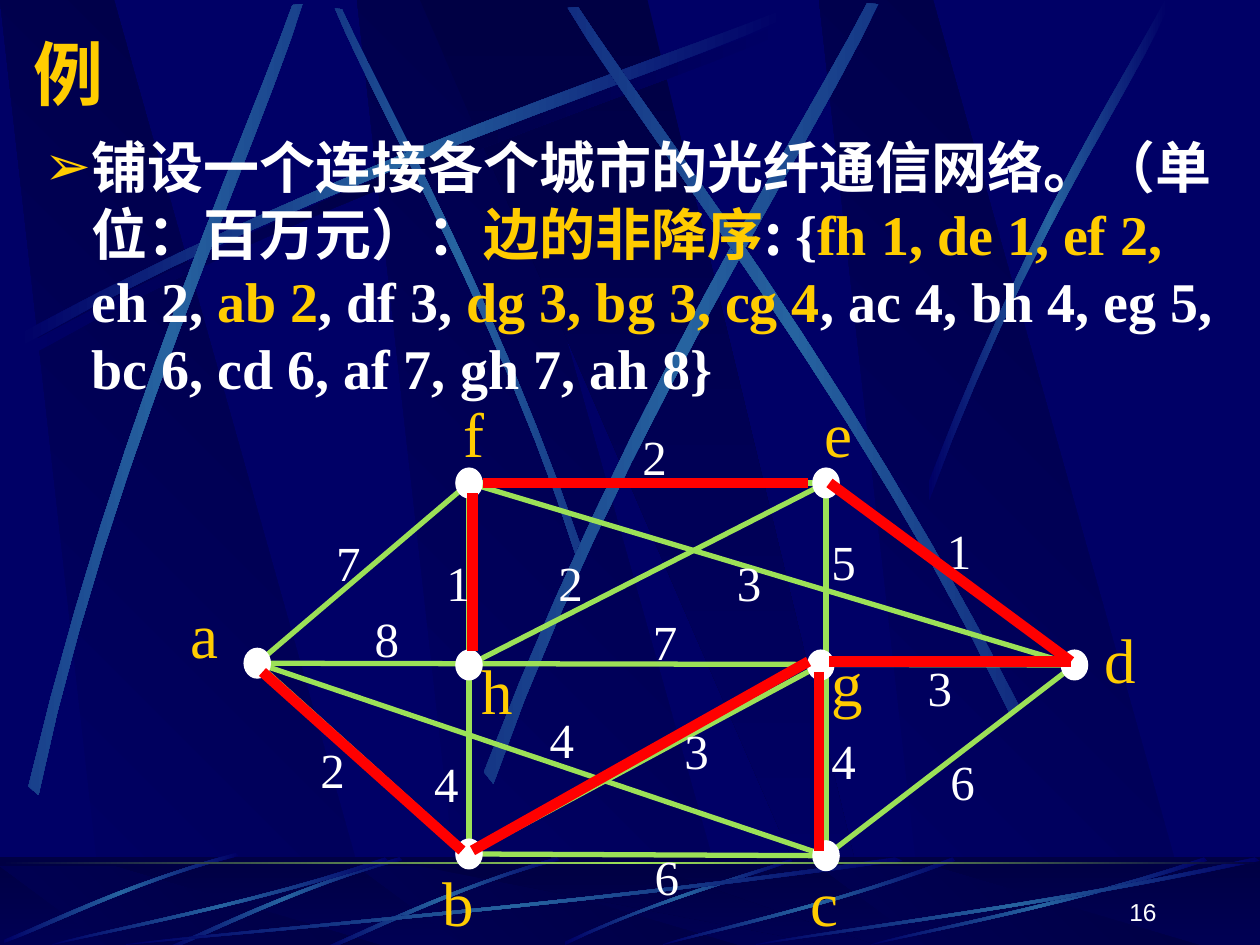
from dataclasses import dataclass

from lxml.etree import SubElement
from pptx import Presentation
from pptx.dml.color import RGBColor
from pptx.enum.shapes import MSO_CONNECTOR as Connector, MSO_SHAPE as Preset
from pptx.enum.text import MSO_ANCHOR as Anchor, MSO_AUTO_SIZE as AutoSize, PP_ALIGN as Align
from pptx.oxml import parse_xml
from pptx.oxml.ns import nsdecls, qn
from pptx.util import Pt


@dataclass(frozen=True)
class Theme:
    navy: str = "000066"
    dark: str = "000044"
    beam: str = "2663A0"
    green: str = "9CE157"
    red: str = "FF0000"
    gold: str = "FFCC00"
    white: str = "FFFFFF"
    serif: str = "Times New Roman"
    cjk: str = "Noto Sans CJK SC"
    sans: str = "Arial"
    title: int = 40
    body: int = 32
    node: int = 36
    weight: int = 28
    number: int = 14


T = Theme()
GLOW = (T.navy, T.beam, T.navy)
SHADE = (T.navy, T.dark, T.navy)

# Outlines in a unit box; a beam is two cubic curves, out and back
SLAB = [(0.28, 1), (1, 1), (0.3, 0), (0, 0)]
WEDGE = [(0, 0), (0.9, 1), (1, 1), (0.5, 0)]
SWEEP = [[(0, 0.96), (0.43, 0.43), (0.83, 0.15), (0.99, 0)],
         [(1, 0.02), (0.84, 0.19), (0.38, 0.5), (0, 1)]]
TRAIL = [[(1, 0.04), (0.57, 0.57), (0.17, 0.85), (0, 1)],
         [(0, 0.99), (0.16, 0.81), (0.61, 0.51), (0.99, 0)]]

# Beams: left, top, width, height, rotation, mirrored
SKY_BEAMS = [(102, 97, 318, 126, 45, True), (10, 7, 438, 192, 0, False),
             (-123, 131, 438, 192, 311.7, False), (166, 115, 449, 217, 321.6, False),
             (233, 109, 438, 192, 34.7, True), (531, 0, 136, 286, 0, False)]
FLOOR_BEAMS = [(323, 491, 130, 49, 0, False), (186, 487, 132, 60, 315, True),
               (96, 487, 132, 60, 315, True), (4, 483, 130, 61, 315, True)]
FLOOR_TRAILS = [(72, 444), (30, 192), (379, 167), (498, 192), (432, 288)]

# Graph, measured from its own corner: node centre and label corner
NODES = {"f": ((168, 56), (158, 2)), "b": ((168, 268), (146, 270)),
         "e": ((372, 56), (364, 2)), "c": ((372, 269), (356, 270)),
         "a": ((47, 159), (2, 117)), "d": ((514, 160), (524, 131)),
         "g": ((369, 160), (368, 144)), "h": ((168, 160), (168, 149))}
EDGES = "bg he ca df bf ce ab bc cd ad af fe ed".split()
WEIGHTS = [("7", 85, 81), ("6", 267, 260), ("2", 76, 199), ("8", 107, 124),
           ("1", 148, 92), ("4", 141, 207), ("4", 207, 182), ("3", 284, 188),
           ("4", 368, 194), ("7", 266, 126), ("2", 212, 92), ("3", 314, 92),
           ("5", 368, 80), ("6", 436, 206), ("3", 423, 152), ("2", 260, 20),
           ("1", 434, 74)]
TREE = [((170, 62), (170, 152)), ((374, 56), (512, 158)), ((176, 56), (362, 56)),
        ((50, 164), (164, 266)), ((374, 158), (512, 158)), ((170, 266), (362, 158)),
        ((368, 164), (368, 266))]

BODY = [("铺设一个连接各个城市的光纤通信网络。（单位：百万元）：", T.white, T.cjk),
        ("边的非降序", T.gold, T.cjk), (": ", T.white, T.cjk), ("{", T.white, T.serif),
        ("fh 1, de 1, ef 2,", T.gold, T.serif), (" eh 2, ", T.white, T.serif),
        ("ab 2", T.gold, T.serif), (", df 3, ", T.white, T.serif),
        ("dg 3, bg 3, cg 4", T.gold, T.serif),
        (", ac 4, bh 4, eg 5, bc 6, cd 6, af 7, gh 7, ah 8}", T.white, T.serif)]


def rgb(code):
    return RGBColor.from_string(code)


def paint(shape, colors, angle=0):
    """Fill with evenly spaced gradient stops and no outline."""
    shape.shadow.inherit = False
    shape.line.fill.background()
    shape.fill.solid()
    solid = shape.element.spPr.find(qn("a:solidFill"))
    stops = "".join(f'<a:gs pos="{100000 * i // (len(colors) - 1)}"><a:srgbClr val="{c}"/></a:gs>'
                    for i, c in enumerate(colors))
    solid.getparent().replace(solid, parse_xml(
        f'<a:gradFill rotWithShape="0" {nsdecls("a")}><a:gsLst>{stops}</a:gsLst>'
        f'<a:lin ang="{angle * 60000}" scaled="0"/></a:gradFill>'))


def outline(slide, box, points):
    left, top, width, height = box
    page = [(Pt(left + x * width), Pt(top + y * height)) for x, y in points]
    builder = slide.shapes.build_freeform(*page[0])
    builder.add_line_segments(page[1:], close=True)
    return builder.convert_to_shape()


def curve(a, b, c, d, steps=12):
    for i in range(steps + 1):
        t = i / steps
        u = 1 - t
        yield tuple(u**3 * p + 3 * u * u * t * q + 3 * u * t * t * r + t**3 * s
                    for p, q, r, s in zip(a, b, c, d))


def add_beam(slide, box, edges, colors, rotation=0, mirrored=False):
    points = [(1 - x if mirrored else x, y) for edge in edges for x, y in curve(*edge)]
    beam = outline(slide, box, points)
    beam.rotation = rotation
    paint(beam, colors)


def add_band(slide, box, colors, angle=0):
    band = slide.shapes.add_shape(Preset.RECTANGLE, *map(Pt, box))
    paint(band, colors, angle)
    return band


def add_slabs(slide, top, height):
    for left in (204, 0, 468):
        paint(outline(slide, (left, top, 217, height), SLAB), (T.navy, T.dark), 315)
    paint(outline(slide, (240, top, 260, height), WEDGE), (T.dark, T.navy), 90)


def add_backdrop(slide, box):
    left, top, width, height = box
    slide.background.fill.solid()
    slide.background.fill.fore_color.rgb = rgb(T.navy)
    # Sky
    add_slabs(slide, top, height)
    add_beam(slide, (14, 13, 438, 192), SWEEP, SHADE)
    for *place, rotation, mirrored in SKY_BEAMS:
        add_beam(slide, place, SWEEP, GLOW, rotation, mirrored)
    # Floor with a half-transparent veil
    floor = (left, top + 490, width, height - 490)
    add_band(slide, floor, (T.dark, T.navy), 90)
    add_slabs(slide, top + 495, height - 495)
    veil = add_band(slide, floor, (T.dark, T.dark))
    for color in veil.element.spPr.iter(qn("a:srgbClr")):
        SubElement(color, qn("a:alpha"), val="50000")
    for *place, rotation, mirrored in FLOOR_BEAMS:
        add_beam(slide, place, SWEEP, GLOW, rotation, mirrored)
    for start, length in FLOOR_TRAILS:
        add_beam(slide, (start, floor[1], length, floor[3]), TRAIL, GLOW)
    # Horizon
    add_band(slide, (left, top + 492.5, width, 1.5), (T.dark, T.green, T.dark))


def add_run(paragraph, text, size, color, font, bold=False):
    run = paragraph.add_run()
    run.text = text
    run.font.size, run.font.bold = Pt(size), bold
    run.font.color.rgb = rgb(color)
    run.font.name = font
    SubElement(run.font._element, qn("a:ea"), typeface=T.cjk)


def place(shape, box):
    shape.left, shape.top, shape.width, shape.height = map(Pt, box)


def fill_title(title, box):
    place(title, box)
    title.text_frame.vertical_anchor = Anchor.MIDDLE
    heading = title.text_frame.paragraphs[0]
    heading.alignment = Align.LEFT
    add_run(heading, "例", T.title, T.gold, T.serif, True)


def fill_body(body, box):
    place(body, box)
    body.text_frame.auto_size = AutoSize.NONE
    task = body.text_frame.paragraphs[0]
    props = task._p.get_or_add_pPr()
    props.set("marL", str(Pt(27)))
    props.set("indent", str(Pt(-27)))
    SubElement(SubElement(props, qn("a:buClr")), qn("a:srgbClr"), val=T.gold)
    SubElement(props, qn("a:buChar"), char="➢")
    task.space_before = Pt(0)
    for text, color, font in BODY:
        add_run(task, text, T.body, color, font, True)


def add_label(slide, box, text, size, color, font=T.serif):
    label = slide.shapes.add_textbox(*map(Pt, box))
    label.text_frame.word_wrap = False
    label.text_frame.auto_size = AutoSize.SHAPE_TO_FIT_TEXT
    add_run(label.text_frame.paragraphs[0], text, size, color, font)


def add_graph(slide, box):
    left, top = box[:2]

    def link(start, end, color, width):
        ends = [Pt(v) for x, y in (start, end) for v in (left + x, top + y)]
        line = slide.shapes.add_connector(Connector.STRAIGHT, *ends)
        line.line.color.rgb, line.line.width = rgb(color), Pt(width)
        SubElement(line.element.spPr, qn("a:effectLst"))

    for start, end in EDGES:
        link(NODES[start][0], NODES[end][0], T.green, 3)
    for name, ((x, y), (label_x, label_y)) in NODES.items():
        dot = slide.shapes.add_shape(Preset.OVAL, *map(Pt, (left + x - 7.5, top + y - 8.5, 15, 17)))
        dot.shadow.inherit = False
        dot.fill.solid()
        dot.fill.fore_color.rgb = dot.line.color.rgb = rgb(T.white)
        dot.line.width = Pt(0.75)
        add_label(slide, (left + label_x, top + label_y, 32, 50), name, T.node, T.gold)
    for weight, x, y in WEIGHTS:
        add_label(slide, (left + x, top + y, 29, 41), weight, T.weight, T.white)
    # Minimum spanning tree
    for start, end in TREE:
        link(start, end, T.red, 6)


def add_number(slide, box):
    number = slide.shapes.add_textbox(*map(Pt, box))
    number.text_frame.word_wrap = True
    number.text_frame.vertical_anchor = Anchor.BOTTOM
    number.text_frame.paragraphs[0].alignment = Align.RIGHT
    add_run(number.text_frame.paragraphs[0], "16", T.number, T.white, T.sans)


def main():
    deck = Presentation()
    deck.slide_width, deck.slide_height = Pt(720), Pt(540)
    slide = deck.slides.add_slide(deck.slide_layouts[1])
    title, body = slide.placeholders
    add_backdrop(slide, (0, 0, 720, 540))
    # Bring the placeholders in front of the backdrop
    title.element.getparent().extend([title.element, body.element])
    fill_title(title, (12, 14, 612, 55))
    fill_body(body, (18, 72, 690, 426))
    add_graph(slide, (100, 220, 560, 320))
    add_number(slide, (518, 497, 150, 36))
    deck.save("out.pptx")


if __name__ == "__main__":
    main()
